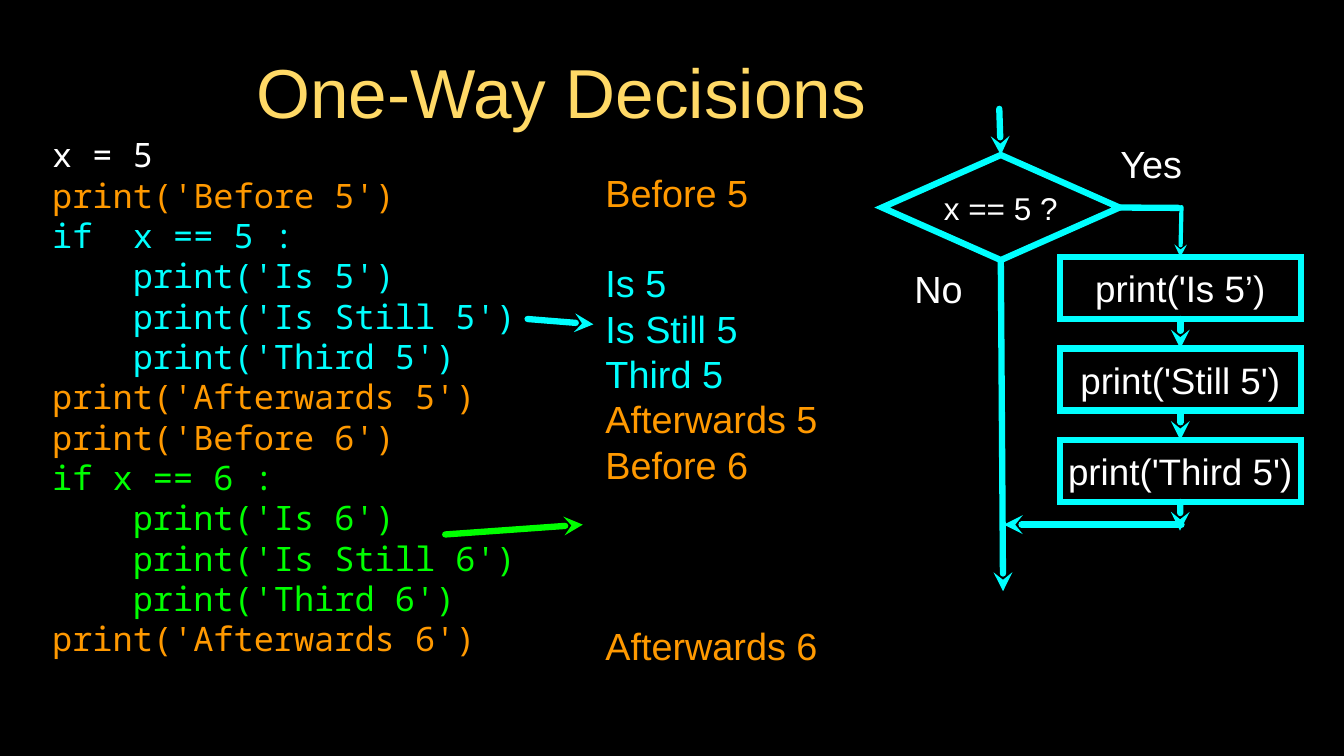
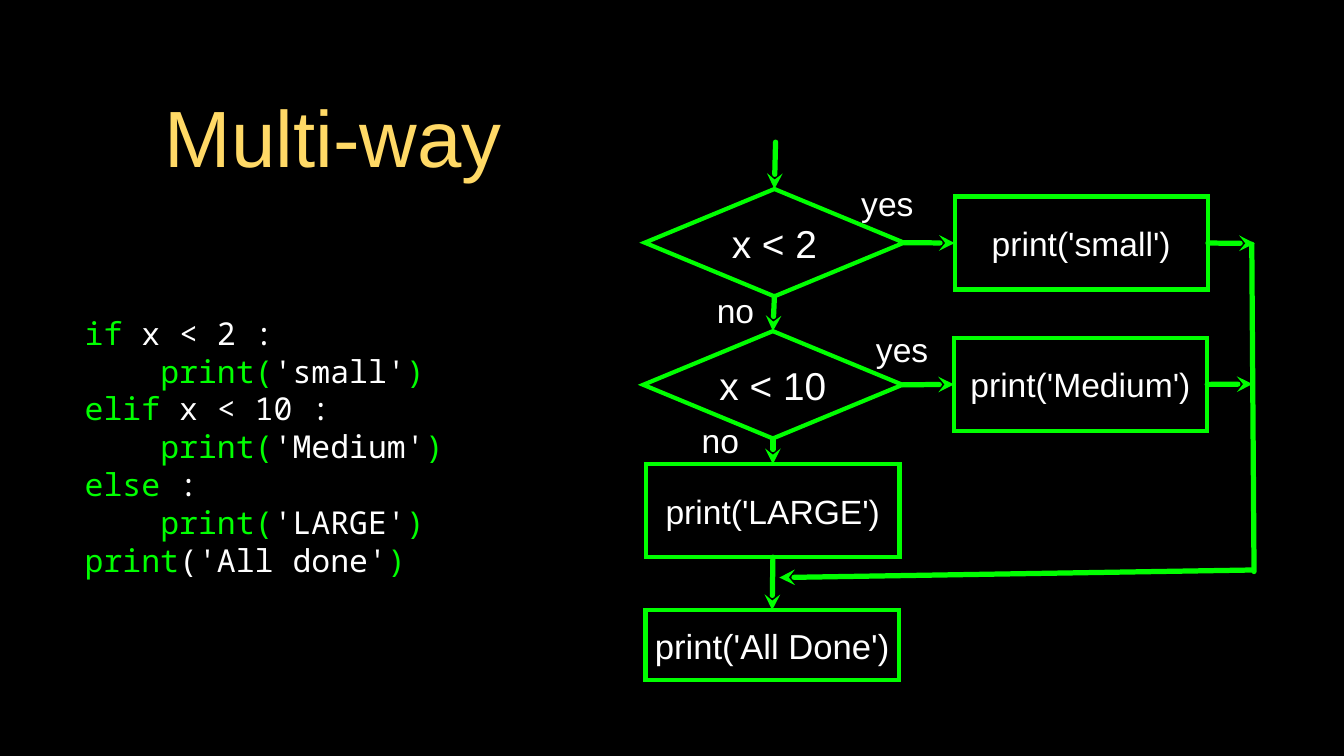
"""Build two slides that explain one-way and multi-way decisions."""
from lxml import etree
from pptx import Presentation
from pptx.dml.color import RGBColor
from pptx.enum.shapes import MSO_CONNECTOR, MSO_SHAPE
from pptx.enum.text import MSO_ANCHOR, PP_ALIGN
from pptx.oxml.ns import qn
from pptx.util import Inches, Pt

STRAIGHT = MSO_CONNECTOR.STRAIGHT
RECT, DIAMOND = MSO_SHAPE.RECTANGLE, MSO_SHAPE.DIAMOND
MIDDLE, LEFT, CENTER = MSO_ANCHOR.MIDDLE, PP_ALIGN.LEFT, PP_ALIGN.CENTER
TOP_SIDE, LEFT_SIDE, BOTTOM_SIDE, RIGHT_SIDE = range(4)

BLACK, WHITE, GOLD = "000000", "FFFFFF", "FFD966"
ORANGE, CYAN, GREEN = "FF9900", "00FFFF", "00FF00"
SANS, MONO = "Arial", "Noto Sans Mono"
LINE_HEIGHT = 1.2
CHAR_WIDTH = 0.6
INDENT_CHARS = 4

ONE_WAY_CODE = [
    (0, 0, [("x = 5", WHITE)]),
    (0, 0, [("print('Before 5')", ORANGE)]),
    (0, 0, [("if  x == 5 :", CYAN)]),
    (0, 1, [("print('Is 5')", CYAN)]),
    (0, 1, [("print('Is Still 5')", CYAN)]),
    (0, 1, [("print('Third 5')", CYAN)]),
    (0, 0, [("print('Afterwards 5')", ORANGE)]),
    (0, 0, [("print('Before 6')", ORANGE)]),
    (0, 0, [("if x == 6 :", GREEN)]),
    (0, 1, [("print('Is 6')", GREEN)]),
    (0, 1, [("print('Is Still 6')", GREEN)]),
    (0, 1, [("print('Third 6')", GREEN)]),
    (0, 0, [("print('Afterwards 6')", ORANGE)]),
]
ONE_WAY_OUTPUT = [
    (0, 0, [("Before 5", ORANGE)]),
    (1, 0, [("Is 5", CYAN)]),
    (0, 0, [("Is Still 5", CYAN)]),
    (0, 0, [("Third 5", CYAN)]),
    (0, 0, [("Afterwards 5", ORANGE)]),
    (0, 0, [("Before 6", ORANGE)]),
    (3, 0, [("Afterwards 6", ORANGE)]),
]
MULTI_WAY_CODE = [
    (0, 0, [("if", GREEN), (" x < 2 :", WHITE)]),
    (0, 1, [("print(", GREEN), ("'small'", WHITE), (")", GREEN)]),
    (0, 0, [("elif", GREEN), (" x < 10 :", WHITE)]),
    (0, 1, [("print(", GREEN), ("'Medium'", WHITE), (")", GREEN)]),
    (0, 0, [("else", GREEN), (" :", WHITE)]),
    (0, 1, [("print(", GREEN), ("'LARGE'", WHITE), (")", GREEN)]),
    (0, 0, [("print", GREEN), ("('All done'", WHITE), (")", GREEN)]),
]

ONE_WAY_STEPS = [("is", "print('Is 5’)"), ("still", "print('Still 5')"),
                 ("third", "print('Third 5')")]
ONE_WAY_NODES = {"test": (DIAMOND, (11.67, 2.05, 3.14, 1.39), "x == 5 ?", 30)}
for row, (name, label) in enumerate(ONE_WAY_STEPS):
    ONE_WAY_NODES[name] = (RECT, (14.02, 3.4 + 1.21 * row, 3.19, 0.82), label, 35)

MULTI_WAY_NODES = {
    "under 2": (DIAMOND, (8.53, 2.5, 3.43, 1.42), "x < 2", 37),
    "small": (RECT, (12.63, 2.6, 3.35, 1.23), "print('small')", 32),
    "under 10": (DIAMOND, (8.51, 4.38, 3.43, 1.42), "x < 10", 37),
    "medium": (RECT, (12.62, 4.47, 3.35, 1.23), "print('Medium')", 32),
    "large": (RECT, (8.55, 6.14, 3.35, 1.23), "print('LARGE')", 32),
    "done": (RECT, (8.54, 8.07, 3.35, 0.93), "print('All Done')", 33),
}

ONE_WAY_LINKS = [
    ((6.98, 4.22), (7.85, 4.29), CYAN, 6, True),
    ((5.89, 7.07), (7.71, 6.94), GREEN, 6, True),
    ((13.22, 1.44), ("test", TOP_SIDE), CYAN, 6, True),
    (("test", BOTTOM_SIDE), (13.27, 7.82), CYAN, 6, True),
    (("test", RIGHT_SIDE), (15.59, 2.75), CYAN, 6, False),
    ((15.63, 2.74), ("is", TOP_SIDE), CYAN, 4, True),
    (("is", BOTTOM_SIDE), ("still", TOP_SIDE), CYAN, 6, True),
    (("still", BOTTOM_SIDE), ("third", TOP_SIDE), CYAN, 6, True),
    (("third", BOTTOM_SIDE), (15.61, 7.02), CYAN, 6, True),
    ((15.63, 6.94), (13.28, 6.94), CYAN, 6, True),
]
MULTI_WAY_LINKS = [
    ((10.26, 1.88), ("under 2", TOP_SIDE), GREEN, 5, True),
    (("under 2", RIGHT_SIDE), ("small", LEFT_SIDE), GREEN, 5, True),
    (("under 2", BOTTOM_SIDE), ("under 10", TOP_SIDE), GREEN, 5, True),
    (("under 10", RIGHT_SIDE), ("medium", LEFT_SIDE), GREEN, 5, True),
    (("under 10", BOTTOM_SIDE), ("large", TOP_SIDE), GREEN, 5, True),
    (("large", BOTTOM_SIDE), ("done", TOP_SIDE), GREEN, 5, True),
    (("small", RIGHT_SIDE), (16.6, 3.22), GREEN, 5, True),
    (("medium", RIGHT_SIDE), (16.57, 5.08), GREEN, 5, True),
    ((16.56, 3.23), (16.59, 7.56), GREEN, 5, False),
    ((16.57, 7.54), (10.31, 7.64), GREEN, 5, True),
]

SLIDES = [
    {
        "title": ("One-Way Decisions", (2.22, 0.62, 10.41, 1.17), 66),
        "listings": [(ONE_WAY_CODE, (0.69, 1.69, 6.25, 7.11), 32, MONO),
                     (ONE_WAY_OUTPUT, (8.01, 2.28, 3.09, 6.52), 36, SANS)],
        "labels": [("Yes", (14.62, 1.82, 1.22, 0.68), 36),
                   ("No", (12.02, 3.47, 0.79, 0.68), 36)],
        "nodes": ONE_WAY_NODES, "outline": (CYAN, 6), "links": ONE_WAY_LINKS,
    },
    {
        "title": ("Multi-way", (1.26, 0.82, 6.3, 1.96), 76),
        "listings": [(MULTI_WAY_CODE, (1.12, 3.46, 5.58, 4.88), 30, MONO)],
        "labels": [("yes", (11.36, 2.41, 0.76, 0.54), 32),
                   ("no", (9.47, 3.83, 0.52, 0.54), 32),
                   ("yes", (11.51, 4.35, 0.85, 0.54), 32),
                   ("no", (9.27, 5.55, 0.52, 0.54), 32)],
        "nodes": MULTI_WAY_NODES, "outline": (GREEN, 4), "links": MULTI_WAY_LINKS,
    },
]


def rgb(color):
    return RGBColor.from_string(color)


def write(shape, paragraphs, size, font=SANS, align=CENTER, wrap=True):
    tf = shape.text_frame
    frame = {"word_wrap": wrap, "vertical_anchor": MIDDLE, "margin_left": 0,
             "margin_right": 0, "margin_top": 0, "margin_bottom": 0}
    for key, value in frame.items():
        setattr(tf, key, value)
    line = size * LINE_HEIGHT
    for i, (gap, level, runs) in enumerate(paragraphs):
        p = tf.add_paragraph() if i else tf.paragraphs[0]
        p.alignment = align
        p.line_spacing = Pt(line)
        p.space_before = Pt(gap * line)
        if level:
            indent = Pt(level * INDENT_CHARS * CHAR_WIDTH * size)
            p._p.get_or_add_pPr().set("marL", str(int(indent)))
        for text, color in runs:
            r = p.add_run()
            r.text = text
            r.font.name, r.font.size = font, Pt(size)
            r.font.color.rgb = rgb(color)


def add_text(s, paragraphs, box, size, **style):
    write(s.shapes.add_textbox(*map(Inches, box)), paragraphs, size, **style)


def style_line(shape, color, width):
    shape.line.color.rgb = rgb(color)
    shape.line.width = Pt(width)
    return shape.line._get_or_add_ln()


def add_node(s, kind, box, text, size, outline):
    node = s.shapes.add_shape(kind, *map(Inches, box))
    node.shadow.inherit = False
    node.fill.background()
    ln = style_line(node, *outline)
    etree.SubElement(ln, qn("a:miter"), lim="800000")
    write(node, [(0, 0, [(text, WHITE)])], size)
    return node


def add_link(s, nodes, start, end, color, width, arrow):
    points = [(0, 0) if at[0] in nodes else at for at in (start, end)]
    link = s.shapes.add_connector(STRAIGHT, *(Inches(v) for pt in points for v in pt))
    for at, join in ((start, link.begin_connect), (end, link.end_connect)):
        if at[0] in nodes:
            join(nodes[at[0]], at[1])
    ln = style_line(link, color, width)
    ln.set("cap", "rnd")
    etree.SubElement(ln, qn("a:round"))
    if arrow:
        etree.SubElement(ln, qn("a:tailEnd"), type="stealth")
    etree.SubElement(link._element.spPr, qn("a:effectLst"))


def build_slide(prs, content):
    s = prs.slides.add_slide(prs.slide_layouts[6])
    s.background.fill.solid()
    s.background.fill.fore_color.rgb = rgb(BLACK)
    title, box, size = content["title"]
    add_text(s, [(0, 0, [(title, GOLD)])], box, size)
    for paragraphs, box, size, font in content["listings"]:
        add_text(s, paragraphs, box, size, font=font, align=LEFT)
    nodes = {name: add_node(s, *node, content["outline"])
             for name, node in content["nodes"].items()}
    for link in content["links"]:
        add_link(s, nodes, *link)
    for text, box, size in content["labels"]:
        add_text(s, [(0, 0, [(text, WHITE)])], box, size, wrap=False)


def main():
    prs = Presentation()
    prs.slide_width, prs.slide_height = Inches(17.78), Inches(10)
    for content in SLIDES:
        build_slide(prs, content)
    prs.save("out.pptx")


if __name__ == "__main__":
    main()
